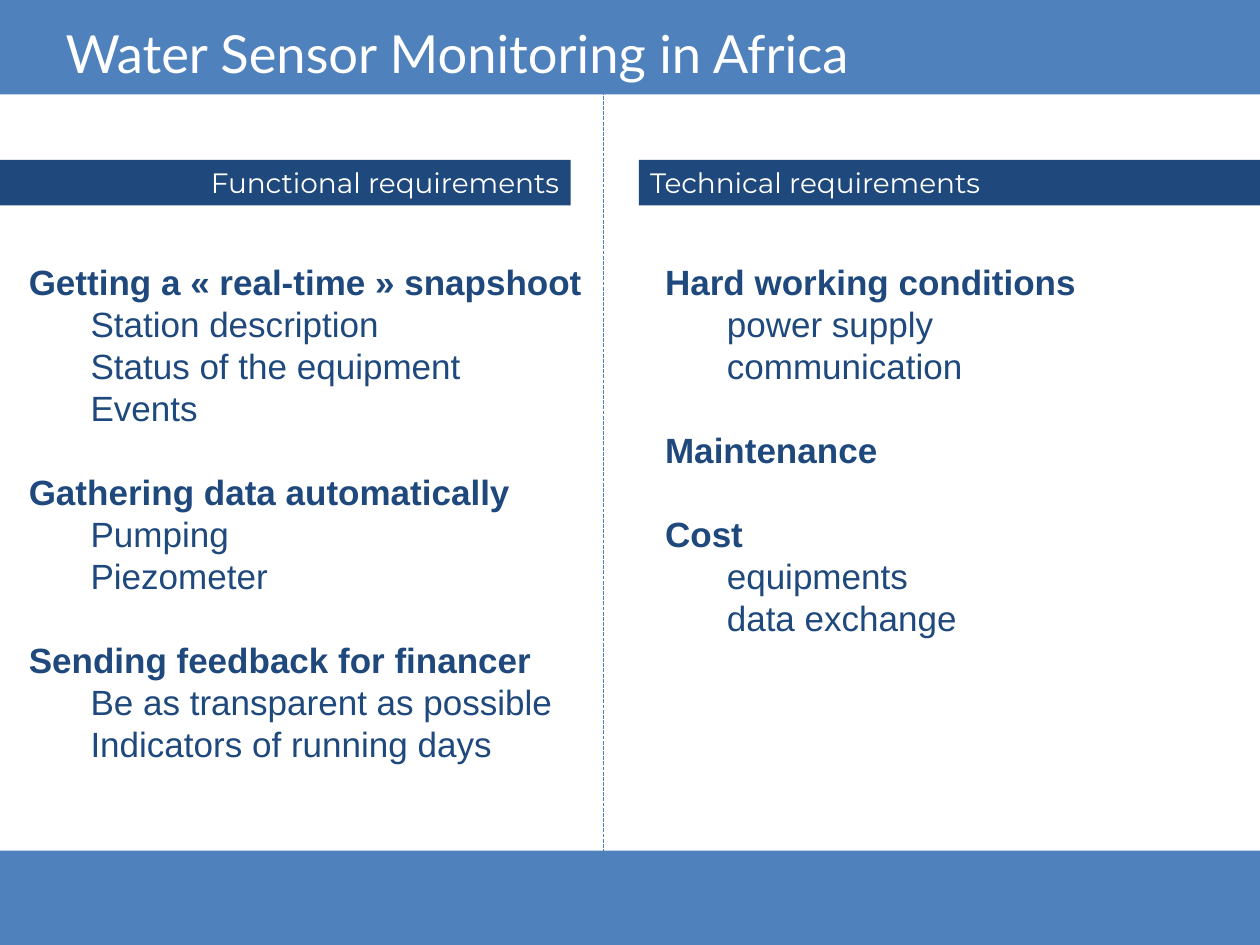
from lxml import etree
from pptx import Presentation
from pptx import util as u
from pptx.dml.color import RGBColor
from pptx.enum import dml, shapes, text
from pptx.oxml.ns import qn

WIDTH, HEIGHT = 10, 7.5
BAND_HEIGHT = HEIGHT / 10
DIVIDER_X = 4.79
LINE_PITCH = 24
BLUE, NAVY, WHITE, DIVIDER_BLUE = "4F81BD", "1F497D", "FFFFFF", "4B7EBC"

TITLE = "Water Sensor Monitoring in Africa"
COLUMNS = [
    {
        "heading": "Functional requirements",
        "align": text.PP_ALIGN.RIGHT,
        "bar": (0, 4.53),
        "body": (0.13, 4.62),
        "wrap": False,
        "groups": [
            ("Getting a « real-time » snapshoot",
             ["Station description", "Status of the equipment", "Events"]),
            ("Gathering data automatically", ["Pumping", "Piezometer"]),
            ("Sending feedback for financer",
             ["Be as transparent as possible", "Indicators of running days"]),
        ],
    },
    {
        "heading": "Technical requirements",
        "align": text.PP_ALIGN.LEFT,
        "bar": (5.07, 4.93),
        "body": (5.18, 4.72),
        "wrap": True,
        "groups": [
            ("Hard working conditions", ["power supply", "communication"]),
            ("Maintenance", []),
            ("Cost", ["equipments", "data exchange"]),
        ],
    },
]


def color(value):
    return RGBColor.from_string(value)


def inches(*values):
    return [u.Inches(value) for value in values]


def set_all(target, **values):
    for name, value in values.items():
        setattr(target, name, value)


def format_font(paragraph, name, size, value, bold=False):
    set_all(paragraph.font, name=name, size=u.Pt(size), bold=bold)
    paragraph.font.color.rgb = color(value)


def add_bar(slide, left, top, width, height, fill):
    shape = slide.shapes.add_shape(shapes.MSO_SHAPE.RECTANGLE,
                                   *inches(left, top, width, height))
    shape.shadow.inherit = False
    shape.fill.solid()
    shape.fill.fore_color.rgb = color(fill)
    shape.line.fill.background()
    return shape


def fill_title(slide):
    """Place the title above the bands in the drawing order."""
    title = slide.shapes.title
    slide.shapes.element.append(title.element)
    left, top, width, height = inches(0.42, 0.11, 6.87, 0.61)
    set_all(title, left=left, top=top, width=width, height=height)
    title.text = TITLE
    set_all(title.text_frame, auto_size=text.MSO_AUTO_SIZE.NONE,
            vertical_anchor=text.MSO_ANCHOR.MIDDLE)
    paragraph = title.text_frame.paragraphs[0]
    paragraph.alignment = text.PP_ALIGN.LEFT
    format_font(paragraph, "Lato", 30, WHITE)


def add_heading(slide, column):
    left, width = column["bar"]
    bar = add_bar(slide, left, 1.27, width, 0.36, NAVY)
    margin = u.Inches(0.09)
    set_all(bar.text_frame, margin_left=margin, margin_right=margin,
            vertical_anchor=text.MSO_ANCHOR.MIDDLE)
    paragraph = bar.text_frame.paragraphs[0]
    set_all(paragraph, text=column["heading"], alignment=column["align"])
    format_font(paragraph, "Montserrat", 16, WHITE)


def add_body(slide, column):
    groups = column["groups"]
    line_count = sum(len(items) + 2 for _, items in groups) - 1
    left, width = column["body"]
    height = line_count * LINE_PITCH / 72 + 0.1
    frame = slide.shapes.add_textbox(
        *inches(left, 2.02, width, height)).text_frame
    frame.word_wrap = column["wrap"]
    paragraph = frame.paragraphs[0]
    for group_index, (heading, items) in enumerate(groups):
        for item_index, line in enumerate([heading, *items]):
            is_heading = item_index == 0
            if group_index or item_index:
                paragraph = frame.add_paragraph()
            set_all(paragraph, text=line, line_spacing=u.Pt(LINE_PITCH),
                    alignment=text.PP_ALIGN.LEFT)
            if is_heading and group_index:
                paragraph.space_before = u.Pt(LINE_PITCH)
            if not is_heading:
                properties = paragraph._p.get_or_add_pPr()
                properties.set("marL", str(u.Inches(0.49)))
                properties.set("indent", "0")
            format_font(paragraph, "Arial", 20, NAVY, is_heading)


def add_divider(slide):
    line = slide.shapes.add_connector(
        shapes.MSO_CONNECTOR.STRAIGHT,
        *inches(DIVIDER_X, 0.72, DIVIDER_X, 6.82))
    line.line.color.rgb = color(DIVIDER_BLUE)
    set_all(line.line, width=u.Pt(0.75), dash_style=dml.MSO_LINE.SQUARE_DOT)
    etree.SubElement(line.element.spPr, qn("a:effectLst"))


def main():
    presentation = Presentation()
    set_all(presentation, slide_width=u.Inches(WIDTH),
            slide_height=u.Inches(HEIGHT))
    slide = presentation.slides.add_slide(presentation.slide_layouts[5])
    for top in (HEIGHT - BAND_HEIGHT, 0):
        add_bar(slide, 0, top, WIDTH, BAND_HEIGHT, BLUE)
    fill_title(slide)
    for add_part in (add_body, add_heading):
        for column in COLUMNS:
            add_part(slide, column)
    add_divider(slide)
    presentation.save("out.pptx")


if __name__ == "__main__":
    main()
